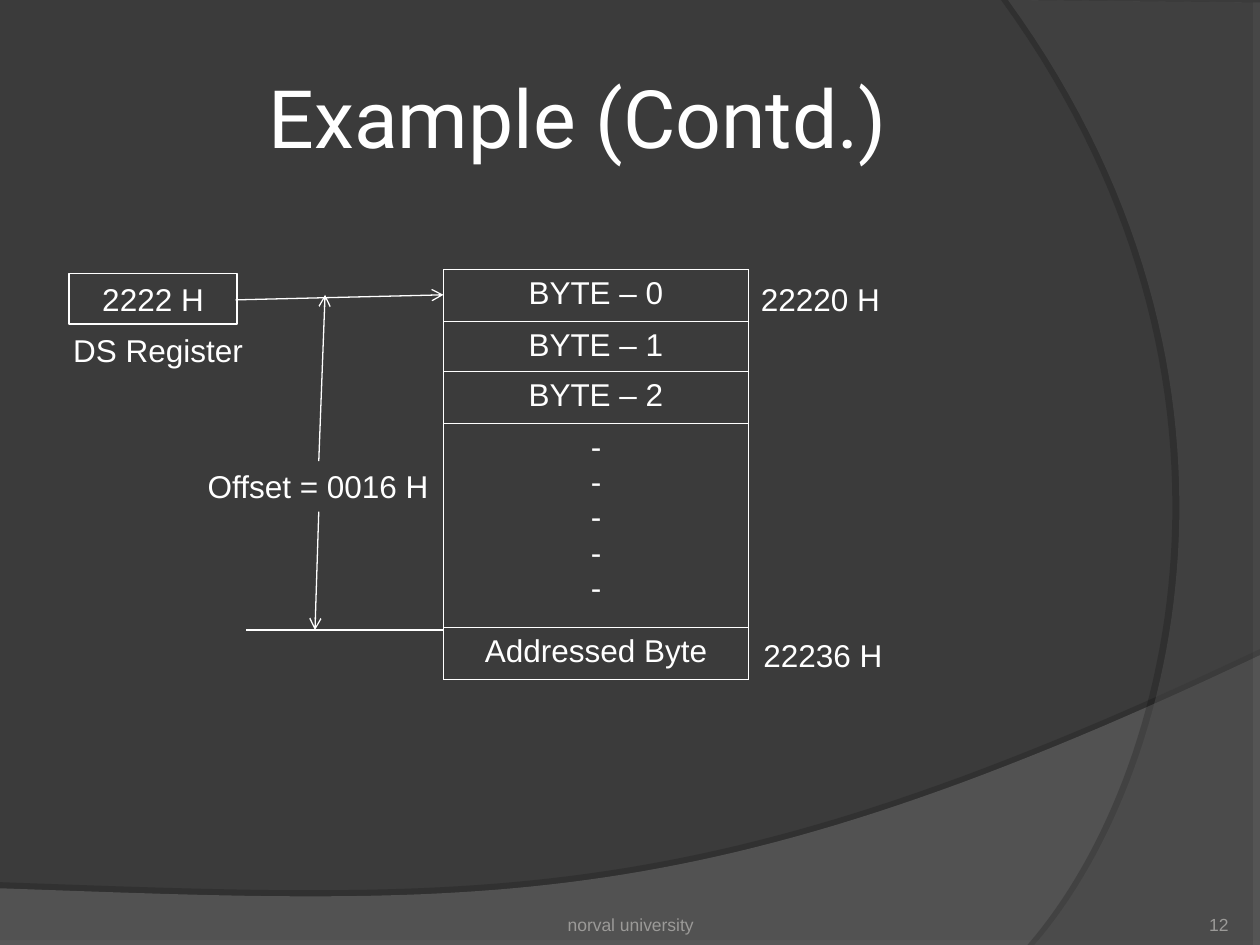
from pptx import Presentation
from pptx.dml.color import RGBColor
from pptx.enum.shapes import MSO_CONNECTOR, MSO_SHAPE
from pptx.enum.text import MSO_ANCHOR, PP_ALIGN
from pptx.oxml import parse_xml
from pptx.oxml.ns import nsdecls, qn
from pptx.util import Inches, Pt

LEFT, MID, RIGHT = PP_ALIGN.LEFT, PP_ALIGN.CENTER, PP_ALIGN.RIGHT
TOP, CENTER, BOTTOM = MSO_ANCHOR.TOP, MSO_ANCHOR.MIDDLE, MSO_ANCHOR.BOTTOM
RECT, LINE = MSO_SHAPE.RECTANGLE, MSO_CONNECTOR.STRAIGHT
WHITE, GREY = "FFFFFF", "9B9A98"
NS = nsdecls("a")


def color(code):
    return RGBColor.from_string(code)


def write(frame, text, align=MID, size=18, code=WHITE, face="Arial"):
    frame.text = text
    for para in frame.paragraphs:
        para.alignment = align
        para.font.size = Pt(size)
        para.font.name = face
        para.font.color.rgb = color(code)


prs = Presentation()
prs.slide_width, prs.slide_height = Inches(10), Inches(7.5)
slide = prs.slides.add_slide(prs.slide_layouts[5])
slide.background.fill.solid()
slide.background.fill.fore_color.rgb = color("3B3B3B")
shapes = slide.shapes

# Background waves: corners, then one Bezier curve from the last corner
waves = [
    ([(0, 7.05), (0, 7.51), (10, 7.51), (10, 5.2)],
     [(5.59, 7.29), (3.91, 7.19), (0, 7.05)], "7C7C7C", 45, 35, 3.5, 270),
    ([(10, 0.02), (10, 7.5), (8.21, 7.5)],
     [(9.35, 6.19), (10.18, 3), (8, 0)], "595959", 40, 45, 4, 180),
]
STEPS = 60
for corners, bend, code, alpha, shade, dist, angle in waves:
    knots = [corners[-1]] + bend
    curve = []
    for step in range(1, STEPS + 1):
        t = step / STEPS
        parts = [(1 - t) ** 3, 3 * t * (1 - t) ** 2, 3 * t * t * (1 - t), t ** 3]
        curve.append(tuple(sum(w * k[axis] for w, k in zip(parts, knots))
                           for axis in (0, 1)))
    points = [(Inches(x), Inches(y)) for x, y in corners + curve]
    pen = shapes.build_freeform(*points[0])
    pen.add_line_segments(points[1:], close=True)
    wave = pen.convert_to_shape()
    wave.fill.solid()
    wave.fill.fore_color.rgb = color(code)
    wave.line.fill.background()
    wave.shadow.inherit = False
    props = wave._element.spPr
    props.find(qn("a:solidFill"))[0].append(
        parse_xml(f'<a:alpha {NS} val="{alpha * 1000}"/>'))
    props.find(qn("a:effectLst")).append(parse_xml(
        f'<a:outerShdw {NS} blurRad="0" dist="{Pt(dist)}" dir="{angle * 60000}" '
        f'algn="ctr" rotWithShape="0"><a:srgbClr val="000000">'
        f'<a:alpha val="{shade * 1000}"/></a:srgbClr></a:outerShdw>'))

# Title
title = shapes.title
title.left, title.top = Inches(0.5), Inches(0.3)
title.width, title.height = Inches(8.17), Inches(1.25)
frame = title.text_frame
frame.margin_left = frame.margin_right = Inches(0.05)
frame.vertical_anchor = CENTER
write(frame, "Example (Contd.)", size=46, face="Roboto")

# Footer
for text, left, width, align, top in [("12", 8.92, 0.83, RIGHT, 0),
                                      ("norval university", 3.42, 3.17, MID, 0.05)]:
    box = shapes.add_textbox(Inches(left), Inches(7.02), Inches(width), Inches(0.4))
    frame = box.text_frame
    frame.word_wrap = True
    frame.margin_left = frame.margin_right = frame.margin_bottom = 0
    frame.margin_top = Inches(top)
    frame.vertical_anchor = BOTTOM
    write(frame, text, align, 10, GREY)

# Memory segment
rows = [("BYTE – 0", 0.41), ("BYTE – 1", 0.4), ("BYTE – 2", 0.41),
        ("\n".join("-" * 5), 1.62), ("Addressed Byte", 0.41)]
table = shapes.add_table(len(rows), 1, Inches(3.52), Inches(2.14),
                         Inches(2.42), Inches(3.25)).table
table.first_row = table.horz_banding = False
for index, (text, height) in enumerate(rows):
    table.rows[index].height = Inches(height)
    cell = table.cell(index, 0)
    write(cell.text_frame, text)
    props = cell._tc.get_or_add_tcPr()
    for side in ("lnL", "lnR", "lnT", "lnB"):
        props.append(parse_xml(
            f'<a:{side} {NS} w="{Pt(0.45)}"><a:solidFill>'
            f'<a:srgbClr val="{WHITE}"/></a:solidFill></a:{side}>'))
    cell.fill.background()

# DS register
reg = shapes.add_shape(RECT, Inches(0.55), Inches(2.17), Inches(1.33), Inches(0.4))
reg.shadow.inherit = False
reg.fill.background()
reg.line.color.rgb = color(WHITE)
reg.line.width = Pt(1)
reg.text_frame.vertical_anchor = TOP
write(reg.text_frame, "2222 H")

# Labels
for text, left, top, width, align in [
    ("DS Register", 0.48, 2.58, 1.55, MID),
    ("22220 H", 5.94, 2.17, 1.2, LEFT),
    ("Offset = 0016 H", 1.55, 3.66, 1.98, LEFT),
    ("22236 H", 5.96, 5, 1.2, LEFT),
]:
    box = shapes.add_textbox(Inches(left), Inches(top), Inches(width), Inches(0.4))
    box.text_frame.word_wrap = False
    write(box.text_frame, text, align)

# Pointer, offset arrows and base line
for x1, y1, x2, y2, arrow in [
    (1.87, 2.38, 3.52, 2.34, True),
    (2.53, 3.66, 2.58, 2.34, True),
    (2.53, 4.06, 2.5, 5, True),
    (3.52, 5, 1.95, 5, False),
]:
    link = shapes.add_connector(LINE, Inches(x1), Inches(y1), Inches(x2), Inches(y2))
    link.line.color.rgb = color(WHITE)
    link.line.width = Pt(0.75)
    if arrow:
        link.line._get_or_add_ln().append(parse_xml(f'<a:tailEnd {NS} type="arrow"/>'))
    link._element.spPr.append(parse_xml(f"<a:effectLst {NS}/>"))

prs.save("out.pptx")
